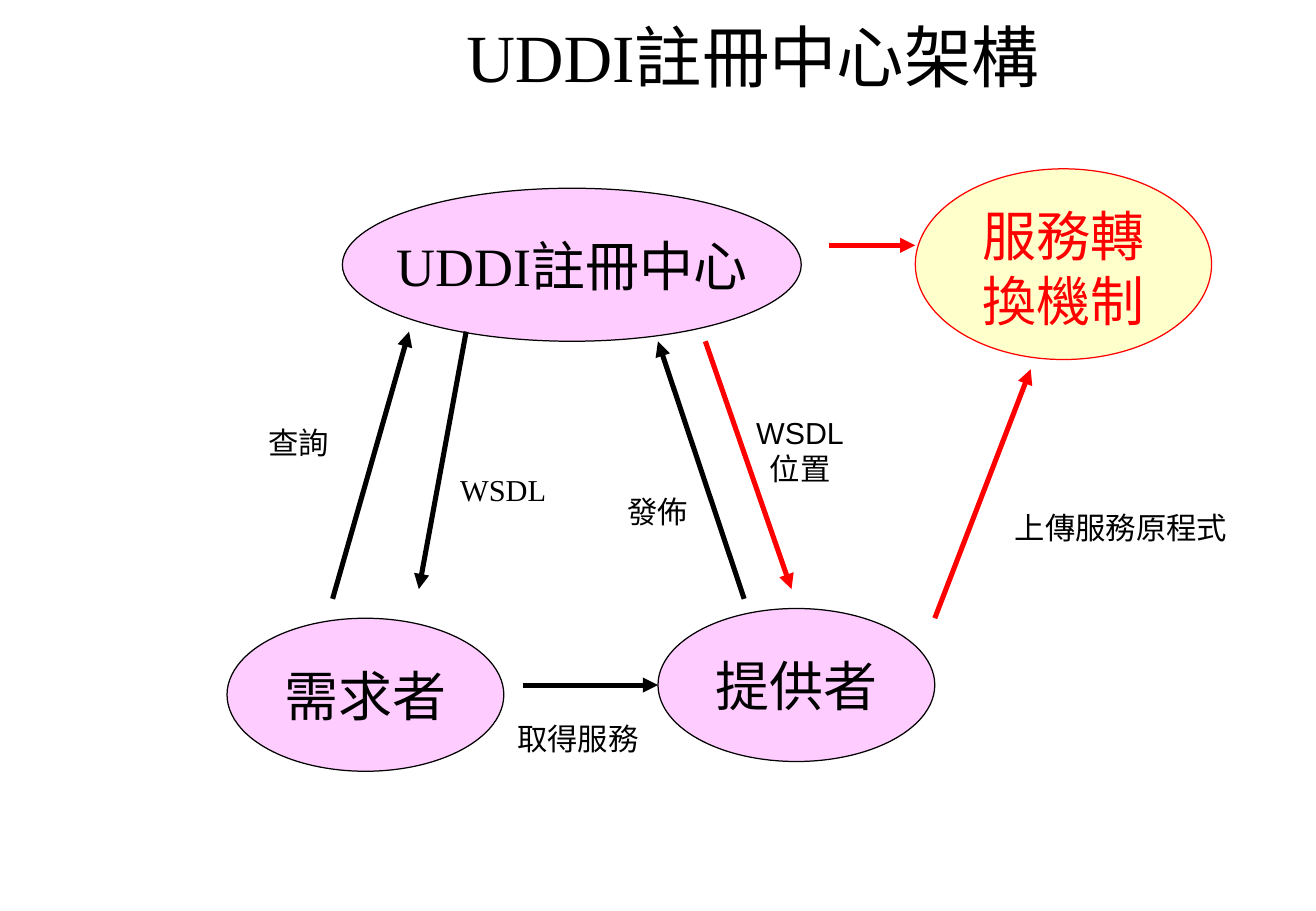
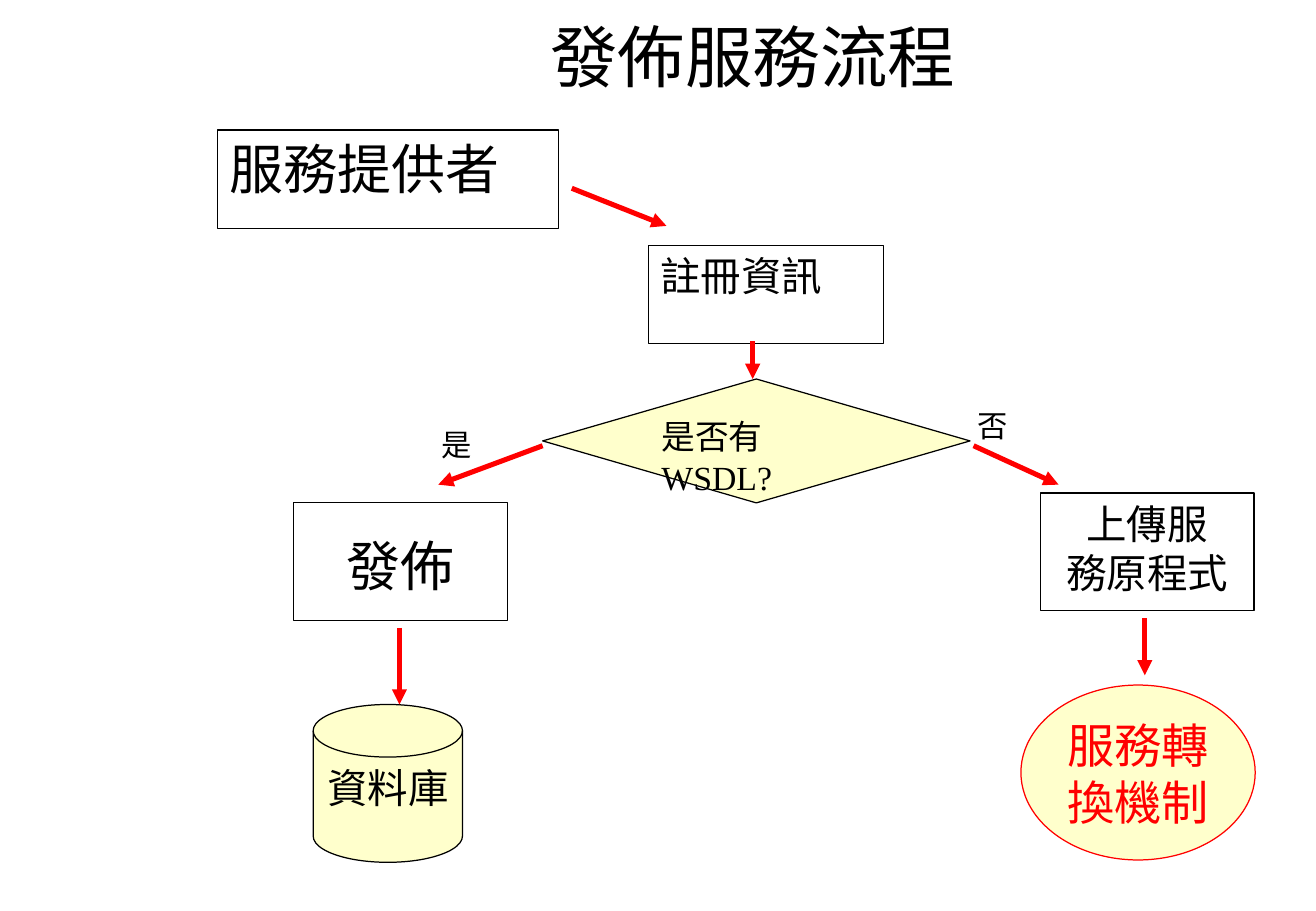
from dataclasses import dataclass

from lxml import etree
from pptx import Presentation
from pptx import util as u
from pptx.dml.color import RGBColor
from pptx.enum import shapes, text
from pptx.oxml.ns import qn

EMU_PER_PX = 9144
SLIDE_SIZE = (1084, 750)
TITLE_BOX = (203, 8, 834, 76)

Shape = shapes.MSO_SHAPE
Align = text.PP_ALIGN
Anchor = text.MSO_ANCHOR
Box = tuple[int, int, int, int]
Point = tuple[int, int]


@dataclass(frozen=True)
class Theme:
    ink: str = "000000"
    accent: str = "FF0000"
    paper: str = "FFFFFF"
    party: str = "FFCCFF"
    process: str = "FFFFCC"
    serif: str = "Times New Roman"
    sans: str = "Arial"
    title: int = 40
    large: int = 32
    medium: int = 28
    body: int = 24
    small: int = 20
    label: int = 18
    outline: float = 0.75
    arrow: float = 3


THEME = Theme()


@dataclass(frozen=True)
class Node:
    words: str
    box: Box
    kind: Shape = Shape.RECTANGLE
    fill: str = THEME.paper
    color: str = THEME.ink
    size: int = THEME.body
    face: str = THEME.serif
    align: Align = Align.CENTER
    anchor: Anchor = Anchor.TOP
    wrap: bool = True
    top_inset: int = 5


@dataclass(frozen=True)
class Arrow:
    start: Point
    end: Point
    color: str = THEME.accent


@dataclass(frozen=True)
class Label:
    words: str
    box: Box
    face: str = THEME.sans


@dataclass(frozen=True)
class Diagram:
    title: str
    title_face: str
    nodes: list[Node]
    arrows: list[Arrow]
    labels: list[Label]


def px(length: int) -> u.Emu:
    return u.Emu(length * EMU_PER_PX)


def rgb(code: str) -> RGBColor:
    return RGBColor.from_string(code)


def write(frame, words: str, size: int, face: str,
          color: str = THEME.ink, align: Align = Align.CENTER) -> None:
    frame.text = words
    for paragraph in frame.paragraphs:
        paragraph.alignment = align
        paragraph.font.size = u.Pt(size)
        paragraph.font.name = face
        paragraph.font.color.rgb = rgb(color)


def draw_node(slide, node: Node) -> None:
    outline = slide.shapes.add_shape(node.kind, *map(px, node.box))
    outline.shadow.inherit = False
    outline.fill.solid()
    outline.fill.fore_color.rgb = rgb(node.fill)
    outline.line.color.rgb = rgb(node.color)
    outline.line.width = u.Pt(THEME.outline)
    frame = outline.text_frame
    frame.word_wrap = node.wrap
    frame.vertical_anchor = node.anchor
    frame.margin_top = px(node.top_inset)
    write(frame, node.words, node.size, node.face, node.color, node.align)


def draw_arrow(slide, arrow: Arrow) -> None:
    flow = slide.shapes.add_connector(
        shapes.MSO_CONNECTOR.STRAIGHT, *map(px, arrow.start + arrow.end))
    flow.line.color.rgb = rgb(arrow.color)
    flow.line.width = u.Pt(THEME.arrow)
    etree.SubElement(flow.line._get_or_add_ln(), qn("a:tailEnd"), type="triangle")
    etree.SubElement(flow._element.spPr, qn("a:effectLst"))


def draw_label(slide, label: Label) -> None:
    frame = slide.shapes.add_textbox(*map(px, label.box)).text_frame
    frame.word_wrap = False
    frame.auto_size = text.MSO_AUTO_SIZE.SHAPE_TO_FIT_TEXT
    write(frame, label.words, THEME.label, label.face)


def draw_diagram(deck, layout, diagram: Diagram) -> None:
    slide = deck.slides.add_slide(layout)
    heading = slide.shapes.title.text_frame
    heading.vertical_anchor = Anchor.MIDDLE
    heading.auto_size = text.MSO_AUTO_SIZE.NONE
    write(heading, diagram.title, THEME.title, diagram.title_face)
    for node in diagram.nodes:
        draw_node(slide, node)
    for arrow in diagram.arrows:
        draw_arrow(slide, arrow)
    for label in diagram.labels:
        draw_label(slide, label)


def party(words: str, box: Box) -> Node:
    return Node(words, box, Shape.OVAL, THEME.party, size=THEME.large,
                anchor=Anchor.MIDDLE, wrap=False)


def converter(box: Box, size: int, align: Align) -> Node:
    return Node("服務轉換機制", box, Shape.OVAL, THEME.process, THEME.accent,
                size, align=align)


REGISTRY = Diagram(
    "UDDI註冊中心架構", THEME.serif,
    [
        party("UDDI註冊中心", (282, 155, 378, 126)),
        party("需求者", (187, 509, 228, 126)),
        party("提供者", (542, 501, 228, 126)),
        converter((754, 139, 244, 157), THEME.large, Align.CENTER),
    ],
    [
        Arrow((384, 273), (345, 485), THEME.ink),
        Arrow((274, 493), (337, 273), THEME.ink),
        Arrow((431, 564), (542, 564), THEME.ink),
        Arrow((613, 493), (542, 281), THEME.ink),
        Arrow((581, 281), (652, 485)),
        Arrow((683, 202), (754, 202)),
        Arrow((770, 509), (849, 304)),
    ],
    [
        Label("WSDL", (369, 383, 91, 40), THEME.serif),
        Label("查詢", (211, 344, 70, 40)),
        Label("取得服務", (416, 588, 120, 40)),
        Label("發佈", (507, 401, 70, 40)),
        Label("WSDL\n位置", (613, 336, 92, 70)),
        Label("上傳服務原程式", (823, 414, 201, 40)),
    ],
)

PUBLISHING = Diagram(
    "發佈服務流程", THEME.sans,
    [
        Node("服務提供者", (179, 107, 281, 81), size=THEME.large, align=Align.LEFT),
        Node("註冊資訊", (534, 202, 194, 81), align=Align.LEFT),
        Node("是否有WSDL?", (447, 312, 352, 102), Shape.FLOWCHART_DECISION,
             THEME.process, size=THEME.small, align=Align.LEFT),
        Node("發佈", (242, 414, 176, 97), size=THEME.large, top_inset=24),
        Node("上傳服\n務原程式", (857, 406, 176, 97)),
        Node("資料庫", (258, 580, 123, 130), Shape.FLOWCHART_MAGNETIC_DISK,
             THEME.process, face=THEME.sans),
        converter((841, 564, 193, 144), THEME.medium, Align.LEFT),
    ],
    [
        Arrow((471, 155), (549, 186)),
        Arrow((620, 281), (620, 312)),
        Arrow((447, 367), (361, 399)),
        Arrow((802, 367), (872, 399)),
        Arrow((329, 517), (329, 580)),
        Arrow((943, 509), (943, 556)),
    ],
    [
        Label("是", (354, 346, 45, 40)),
        Label("否", (795, 330, 45, 40)),
    ],
)


def main() -> None:
    deck = Presentation()
    deck.slide_width, deck.slide_height = map(px, SLIDE_SIZE)
    layout = deck.slide_layouts.get_by_name("Title Only")
    heading = layout.placeholders[0]
    heading.left, heading.top, heading.width, heading.height = map(px, TITLE_BOX)
    for diagram in (REGISTRY, PUBLISHING):
        draw_diagram(deck, layout, diagram)
    deck.save("out.pptx")


if __name__ == "__main__":
    main()
